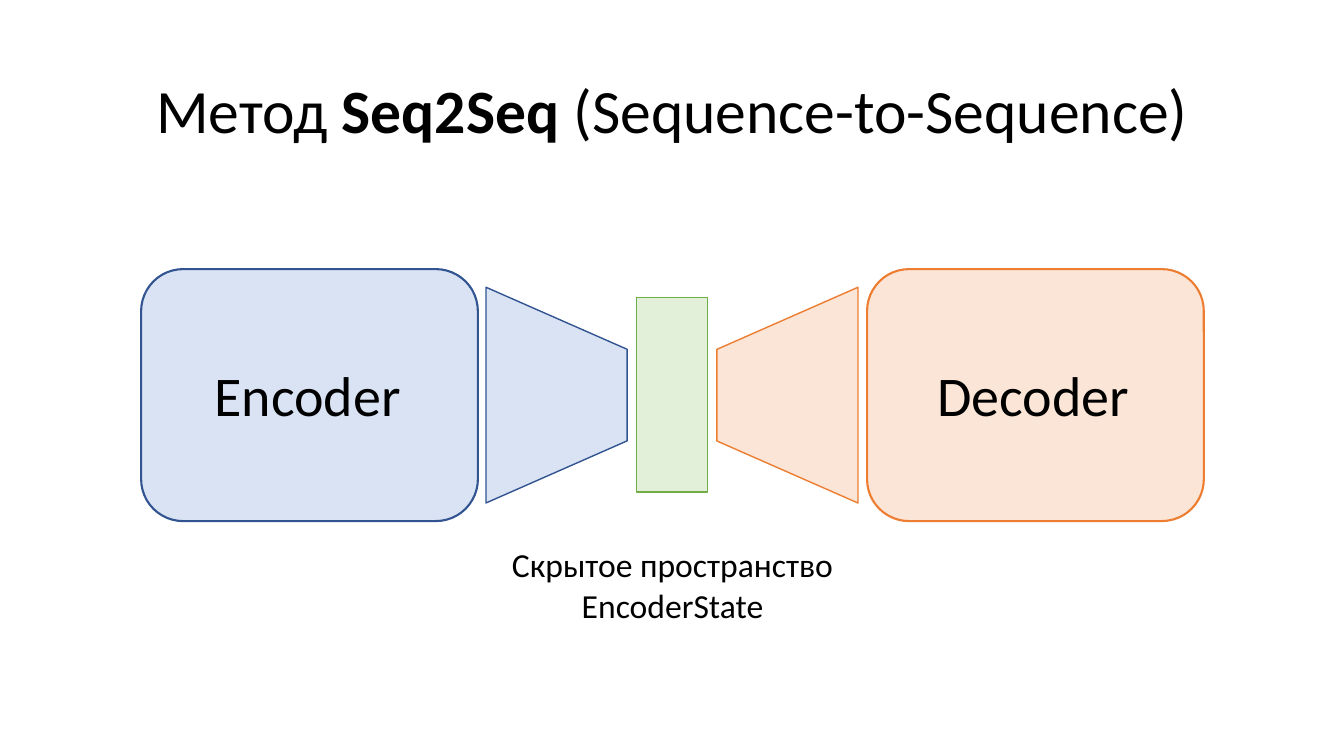
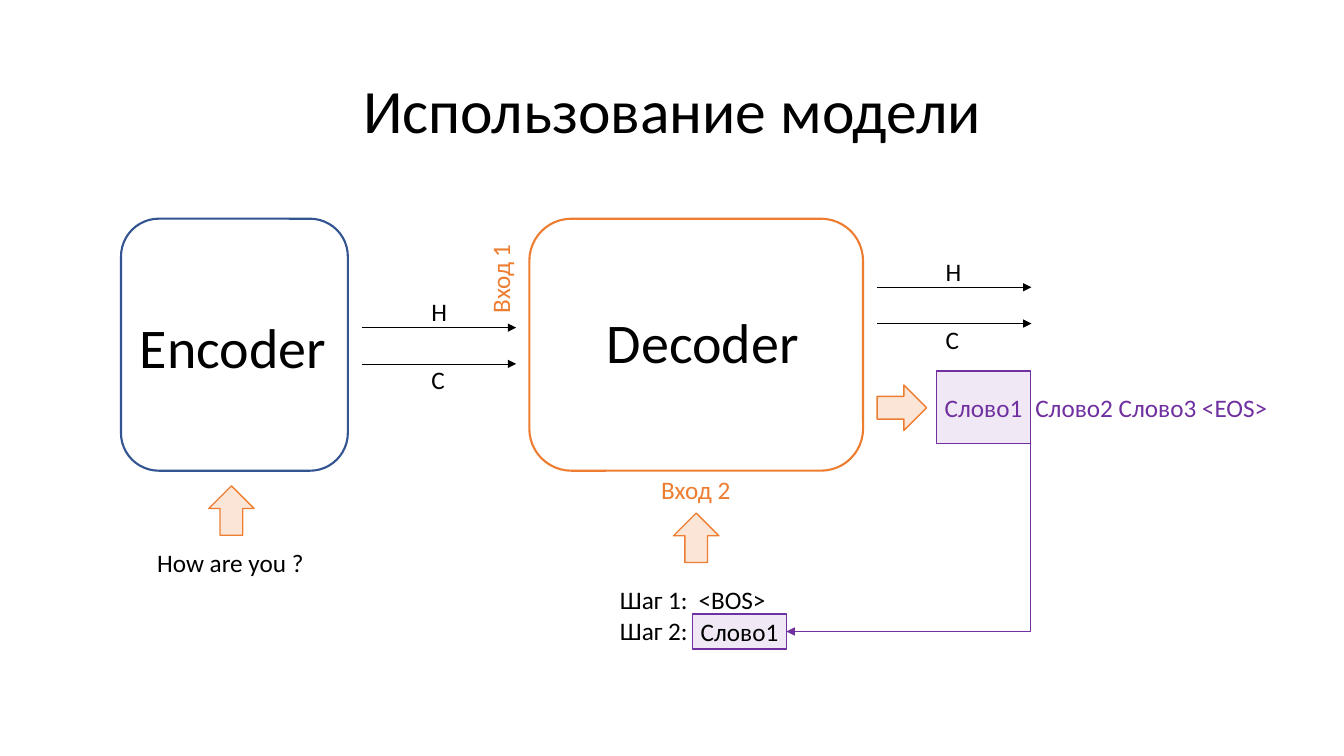
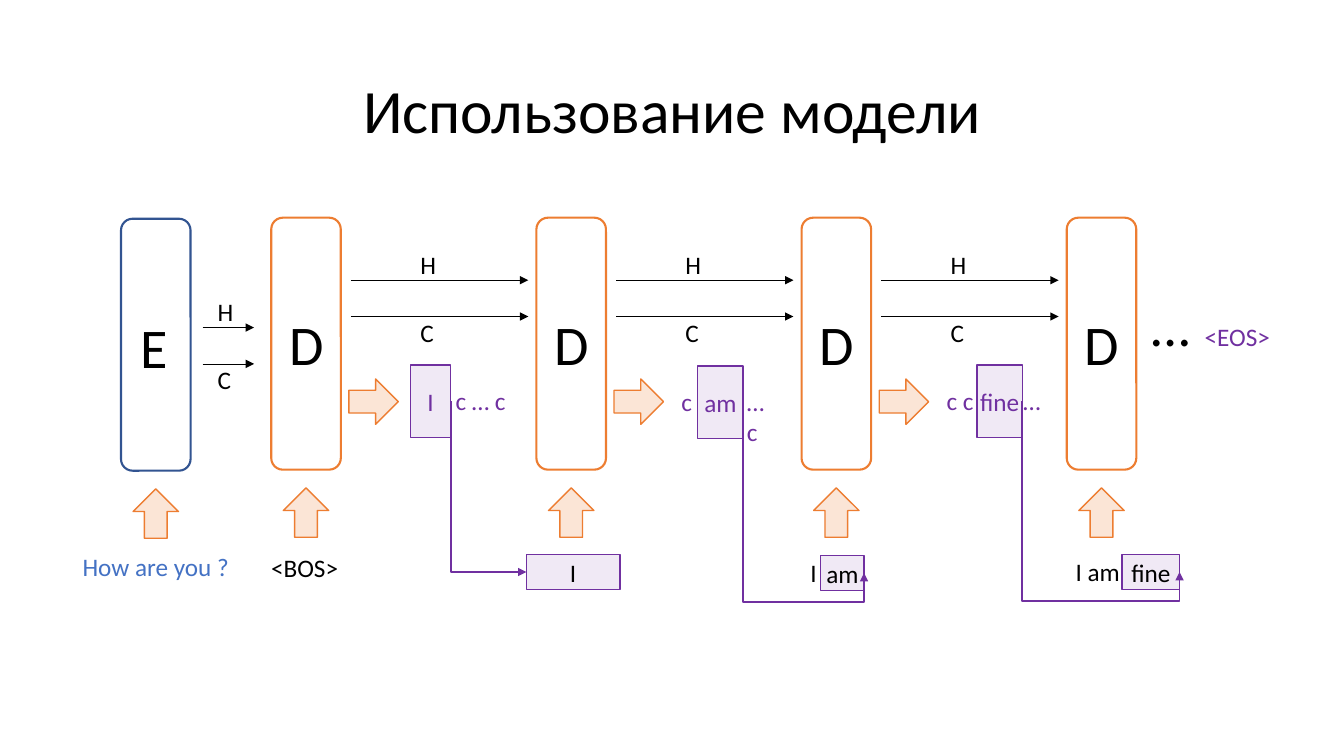
from dataclasses import dataclass
from typing import Optional

from lxml import etree
from pptx import Presentation
from pptx import util as u
from pptx.dml import color
from pptx.enum import shapes, text
from pptx.oxml import ns
from pptx.shapes import autoshape, connector
from pptx.slide import Slide, SlideLayout
from pptx.text import text as body

FONT = "Calibri"
BLACK, BLUE, NAVY = "000000", "4472C4", "325491"
ORANGE, GREEN, PURPLE = "ED7D31", "70AD47", "7030A0"
SKY, PEACH, MINT = "DAE3F3", "FBE5D6", "E2F0D9"
KIND = shapes.MSO_SHAPE
LEFT, MID = text.PP_ALIGN.LEFT, text.PP_ALIGN.CENTER
BOTTOM = 3


@dataclass
class Box:
    x: float
    y: float
    w: float
    h: float


@dataclass
class Label:
    box: Box
    words: str
    size: int = 18
    tint: str = BLACK
    align: int = LEFT
    turn: int = 0


@dataclass
class Flow:
    """The H and C arrows: start, length and left edge of their letters."""
    x: float
    y: float
    w: float
    mark: float


@dataclass
class Step:
    """A chosen word, the input box it goes to, and the side it enters."""
    word: str
    pick: Box
    feed: Box
    side: int
    drop: Optional[float] = None


def rgb(tint: str) -> color.RGBColor:
    return color.RGBColor.from_string(tint)


def add_run(para: body._Paragraph, words: str, size: int, tint: str,
            bold: bool = False) -> None:
    run = para.add_run()
    run.text = words
    run.font.name, run.font.size, run.font.bold = FONT, u.Pt(size), bold
    run.font.color.rgb = rgb(tint)


def place(box: Box) -> list[int]:
    return [u.Inches(n) for n in (box.x, box.y, box.w, box.h)]


def set_title(slide: Slide, *runs: tuple[str, bool]) -> None:
    para = slide.shapes.title.text_frame.paragraphs[0]
    para.alignment, para.line_spacing = MID, 0.9
    for words, bold in runs:
        add_run(para, words, 44, BLACK, bold)


def add_label(slide: Slide, label: Label) -> None:
    shape = slide.shapes.add_textbox(*place(label.box))
    shape.rotation = label.turn
    frame = shape.text_frame
    frame.word_wrap = False
    frame.auto_size = text.MSO_AUTO_SIZE.SHAPE_TO_FIT_TEXT
    for i, line in enumerate(label.words.split("\n")):
        para = frame.add_paragraph() if i else frame.paragraphs[0]
        para.alignment = label.align
        add_run(para, line, label.size, label.tint)


def add_form(slide: Slide, kind: int, box: Box, line: str, fill: str = "",
             width: float = 1, turn: int = 0) -> autoshape.Shape:
    form = slide.shapes.add_shape(kind, *place(box))
    form.shadow.inherit = False
    form.rotation = turn
    form.line.color.rgb, form.line.width = rgb(line), u.Pt(width)
    if fill:
        form.fill.solid()
        form.fill.fore_color.rgb = rgb(fill)
    else:
        form.fill.background()
    return form


def add_block(slide: Slide, box: Box, line: str, fill: str = "") -> None:
    add_form(slide, KIND.ROUNDED_RECTANGLE, box, line, fill, 1.5)


def add_word(slide: Slide, box: Box, word: str, tint: str) -> autoshape.Shape:
    """Draw a word in a see-through purple box."""
    form = add_form(slide, KIND.RECTANGLE, box, PURPLE, PURPLE)
    clr = form._element.spPr.find(ns.qn("a:solidFill"))[0]
    etree.SubElement(clr, ns.qn("a:alpha")).set("val", "10000")
    frame = form.text_frame
    frame.word_wrap = False
    frame.vertical_anchor = text.MSO_ANCHOR.MIDDLE
    frame.paragraphs[0].alignment = MID
    add_run(frame.paragraphs[0], word, 18, tint)
    return form


def add_up(slide: Slide, x: float, y: float) -> None:
    add_form(slide, KIND.UP_ARROW, Box(x, y, 0.45, 0.49), ORANGE, PEACH)


def add_right(slide: Slide, x: float, y: float) -> None:
    add_form(slide, KIND.RIGHT_ARROW, Box(x, y, 0.49, 0.45), ORANGE, PEACH)


def style_link(link: connector.Connector, tint: str, width: float) -> None:
    link.line.color.rgb, link.line.width = rgb(tint), u.Pt(width)
    tail = etree.SubElement(link.line._get_or_add_ln(), ns.qn("a:tailEnd"))
    tail.set("type", "triangle")
    etree.SubElement(link._element.spPr, ns.qn("a:effectLst"))


def add_flow(slide: Slide, flow: Flow) -> None:
    for y in (flow.y, flow.y + 0.36):
        ends = [u.Inches(n) for n in (flow.x, y, flow.x + flow.w, y)]
        link = slide.shapes.add_connector(shapes.MSO_CONNECTOR.STRAIGHT, *ends)
        style_link(link, BLACK, 0.5)
    for mark, shift in (("H", -0.36), ("C", 0.32)):
        add_label(slide, Label(Box(flow.mark, flow.y + shift, 0.35, 0.4), mark))


def add_bend(slide: Slide, start: autoshape.Shape, goal: autoshape.Shape,
             side: int, drop: Optional[float] = None) -> None:
    """Lead down from start to a side of goal; drop is the depth of the
    bend as a share of the height, and None gives a single corner."""
    link = slide.shapes.add_connector(shapes.MSO_CONNECTOR.ELBOW, 0, 0, 0, 0)
    link.begin_connect(start, BOTTOM)
    link.end_connect(goal, side)
    x, y = link.begin_x, link.begin_y
    dx, dy = link.end_x - x, link.end_y - y
    link.left, link.top = x + (dx - dy) // 2, y + (dy - abs(dx)) // 2
    link.width, link.height = dy, abs(dx)
    frame = link._element.spPr.find(ns.qn("a:xfrm"))
    frame.set("rot", "16200000" if dx > 0 else "5400000")
    frame.set("flipH", "1" if dx > 0 else "0")
    frame.set("flipV", "0")
    geom = link._element.spPr.find(ns.qn("a:prstGeom"))
    if drop is None:
        geom.set("prst", "bentConnector2")
    else:
        guide = etree.SubElement(geom.find(ns.qn("a:avLst")), ns.qn("a:gd"))
        guide.set("name", "adj1")
        guide.set("fmla", f"val {round(drop * 100000)}")
    style_link(link, PURPLE, 1.25)


def draw_method(slide: Slide) -> None:
    set_title(slide, ("Метод ", False), ("Seq2Seq", True),
              (" (Sequence-to-Sequence)", False))
    add_block(slide, Box(1.4, 2.67, 3.34, 2.5), NAVY, SKY)
    add_block(slide, Box(8.6, 2.67, 3.34, 2.5), ORANGE, PEACH)
    add_form(slide, KIND.RECTANGLE, Box(6.31, 2.95, 0.71, 1.93), GREEN, MINT)
    for x, turn, line, fill in ((4.45, 90, NAVY, SKY), (6.74, 270, ORANGE, PEACH)):
        cone = add_form(slide, KIND.TRAPEZOID, Box(x, 3.22, 2.14, 1.4),
                        line, fill, turn=turn)
        cone.adjustments[0] = 0.44
    for label in (
        Label(Box(2.03, 3.53, 2.07, 0.77), "Encoder", 40),
        Label(Box(9.2, 3.53, 2.12, 0.77), "Decoder", 40),
        Label(Box(4.96, 5.35, 3.42, 0.91), "Скрытое пространство\nEncoderState",
              24, align=MID),
    ):
        add_label(slide, label)


def draw_model(slide: Slide) -> None:
    set_title(slide, ("Использование модели", False))
    add_block(slide, Box(1.2, 2.17, 2.25, 2.5), NAVY)
    add_block(slide, Box(5.25, 2.17, 3.31, 2.5), ORANGE)
    add_flow(slide, Flow(3.59, 3.25, 1.53, 4.18))
    add_flow(slide, Flow(8.7, 2.85, 1.53, 9.28))
    add_up(slide, 2.07, 4.82)
    add_up(slide, 6.68, 5.09)
    add_right(slide, 8.7, 3.82)
    for label in (
        Label(Box(1.29, 3.05, 2.07, 0.77), "Encoder", 40),
        Label(Box(5.92, 3, 2.12, 0.77), "Decoder", 40),
        Label(Box(1.45, 5.38, 1.67, 0.4), "How are you ?", align=MID),
        Label(Box(4.51, 2.56, 0.9, 0.4), "Вход 1", tint=ORANGE, turn=270),
        Label(Box(6.45, 4.66, 0.9, 0.4), "Вход 2", tint=ORANGE, align=MID),
        Label(Box(10.17, 3.84, 2.5, 0.4), "Слово2 Слово3 <EOS>", tint=PURPLE),
        Label(Box(6.05, 5.75, 0.87, 0.71), "Шаг 1:\nШаг 2:"),
        Label(Box(6.83, 5.75, 0.87, 0.4), "<BOS>"),
    ):
        add_label(slide, label)
    pick = add_word(slide, Box(9.29, 3.68, 0.93, 0.72), "Слово1", PURPLE)
    feed = add_word(slide, Box(6.87, 6.09, 0.93, 0.35), "Слово1", BLACK)
    add_bend(slide, pick, feed, 3)


def draw_steps(slide: Slide) -> None:
    set_title(slide, ("Использование модели", False))
    add_block(slide, Box(1.2, 2.17, 0.69, 2.5), NAVY)
    add_flow(slide, Flow(2.01, 3.25, 0.51, 2.06))
    add_up(slide, 1.32, 4.85)
    steps = (
        Step("I", Box(4.07, 3.62, 0.4, 0.72), Box(5.22, 5.5, 0.93, 0.35), 1),
        Step("am", Box(6.92, 3.63, 0.45, 0.72), Box(8.14, 5.51, 0.43, 0.35),
             BOTTOM, 1.17),
        Step("fine", Box(9.69, 3.62, 0.45, 0.72), Box(11.13, 5.5, 0.57, 0.35),
             BOTTOM, 1.17),
    )
    cols = [2.69 + 2.63 * i for i in range(len(steps) + 1)]
    for x in cols:
        add_block(slide, Box(x, 2.16, 0.69, 2.5), ORANGE)
        add_label(slide, Label(Box(x + 0.08, 3.02, 0.55, 0.77), "D", 40))
        add_up(slide, x + 0.12, 4.84)
    for x, step in zip(cols, steps):
        add_right(slide, x + 0.77, 3.76)
        add_flow(slide, Flow(x + 0.79, 2.78, 1.76, x + 1.38))
        pick = add_word(slide, step.pick, step.word, PURPLE)
        feed = add_word(slide, step.feed, step.word, BLACK)
        add_bend(slide, pick, feed, step.side, step.drop)
    for label in (
        Label(Box(1.29, 3.05, 0.48, 0.77), "E", 40),
        Label(Box(0.71, 5.42, 1.67, 0.4), "How are you ?", tint=BLUE, align=MID),
        Label(Box(2.59, 5.43, 0.87, 0.4), "<BOS>"),
        Label(Box(4.42, 3.77, 0.7, 0.4), "c … c", tint=PURPLE),
        Label(Box(6.66, 3.78, 0.31, 0.4), "c", tint=PURPLE),
        Label(Box(7.31, 3.78, 0.53, 0.4), "… c", tint=PURPLE),
        Label(Box(9.29, 3.77, 0.47, 0.4), "c c", tint=PURPLE),
        Label(Box(10.05, 3.77, 0.38, 0.4), "…", tint=PURPLE),
        Label(Box(7.94, 5.48, 0.27, 0.4), "I"),
        Label(Box(10.57, 5.47, 0.64, 0.4), "I am"),
        Label(Box(11.32, 2.83, 0.59, 0.77), "…", 40),
        Label(Box(11.85, 3.14, 0.86, 0.4), "<EOS>", tint=PURPLE),
    ):
        add_label(slide, label)


def set_layout(layout: SlideLayout) -> None:
    """Place the title once for all slides."""
    title = layout.placeholders[0]
    title.left, title.top, title.width, title.height = place(
        Box(0.92, 0.4, 11.5, 1.45))
    title.text_frame.vertical_anchor = text.MSO_ANCHOR.MIDDLE


def main() -> None:
    deck = Presentation()
    deck.slide_width, deck.slide_height = u.Inches(13.33), u.Inches(7.5)
    layout = deck.slide_layouts.get_by_name("Title Only")
    set_layout(layout)
    for draw in (draw_method, draw_model, draw_steps):
        draw(deck.slides.add_slide(layout))
    deck.save("out.pptx")


if __name__ == "__main__":
    main()
